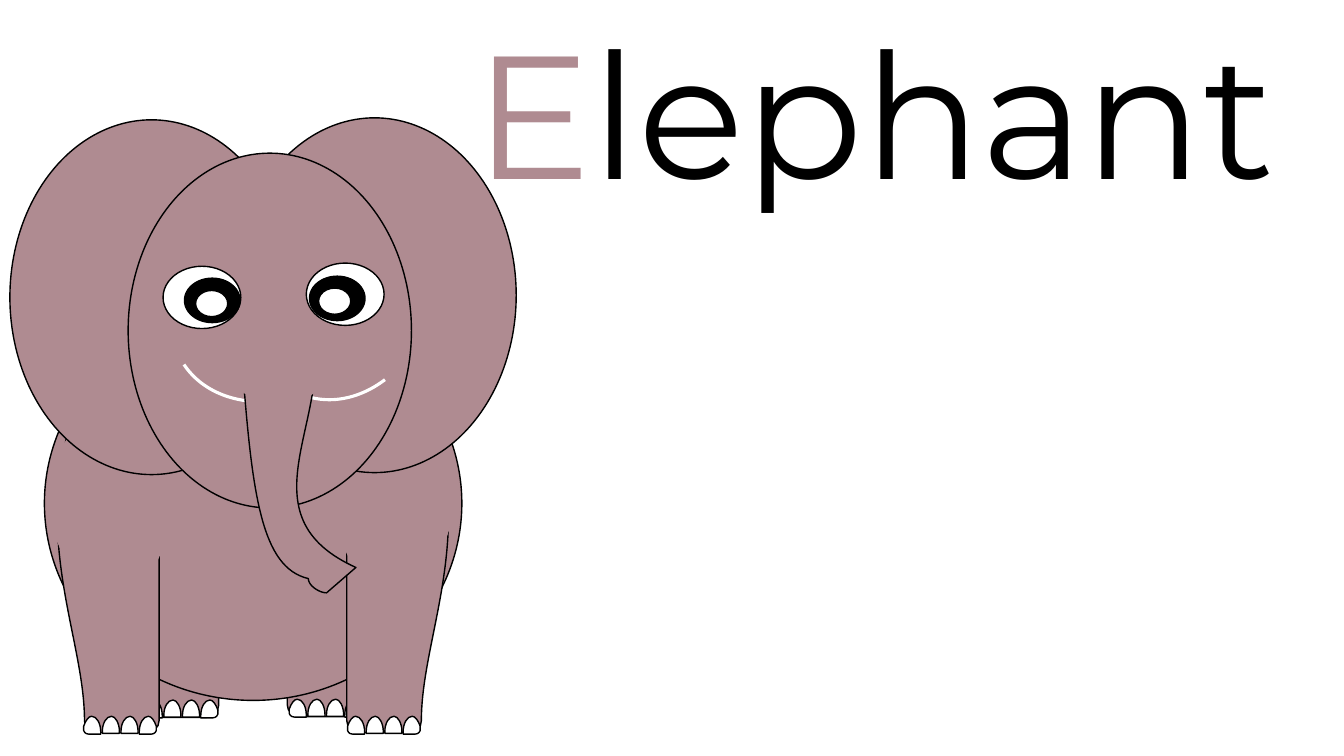
"""Draw an elephant beside its name on one slide."""
from pptx import Presentation, util as u
from pptx.dml.color import RGBColor
from pptx.enum import shapes, text
from pptx.oxml import ns

SKIN, INK, WHITE = "AF8B91", "000000", "FFFFFF"
LEG = [(0, 1.27), (0, 1.12, 0.15, 0.97, 0.33, 0.97), (1.57, 0.97),
       (1.75, 0.97, 2.31, -0.15, 2.31, 0.03), (3.07, 3, 1.88, 5.26, 1.88, 7.24),
       (1.88, 7.42, 1.75, 7.54, 1.57, 7.54), (0.33, 7.54),
       (0.15, 7.54, 0, 7.42, 0, 7.24)]
TOE = [(0.23, 0), (0.1, 0, 0, 0.18, 0, 0.38), (0, 0.43), (0.43, 0.43),
       (0.43, 0.38), (0.43, 0.18, 0.33, 0, 0.23, 0)]
END = [(0.2, 0), (0.13, 0, 0.05, 0.1, 0, 0.25), (0, 0.36), (0.03, 0.41),
       (0.05, 0.43, 0.08, 0.45, 0.13, 0.45), (0.43, 0.45), (0.43, 0.4),
       (0.43, 0.18, 0.33, 0, 0.2, 0)]
TRUNK = [(7.95, 9.09), (7.95, 8.94, 7.82, 8.79, 7.65, 8.79), (6.4, 8.79),
         (6.22, 8.79, 6.1, 8.94, 6.1, 9.09), (6.35, 12.45, 6.58, 14.3, 7.77, 14.58),
         (7.77, 14.76, 8.05, 14.94, 8.23, 14.94), (8.97, 14.3),
         (6.38, 13.13, 7.95, 11.07, 7.95, 9.09)]
PITCH, FOOT = 0.47, 1.83


def rgb(code):
    return RGBColor.from_string(code)


class Artist:
    def __init__(self, slide):
        self.slide = slide
        self.font = {"name": "Montserrat", "size": u.Pt(125)}

    def style(self, shape, fill, line, width=1):
        shape.shadow.inherit = False
        if fill:
            shape.fill.solid()
            shape.fill.fore_color.rgb = rgb(fill)
        else:
            shape.fill.background()
        if line:
            shape.line.color.rgb = rgb(line)
            shape.line.width = u.Pt(width)
        else:
            shape.line.fill.background()

    def oval(self, box, fill=SKIN, line=INK, turn=0):
        shape = self.slide.shapes.add_shape(shapes.MSO_SHAPE.OVAL, *map(u.Cm, box))
        shape.rotation = turn
        self.style(shape, fill, line)

    def arc(self, box, turn):
        shape = self.slide.shapes.add_shape(shapes.MSO_SHAPE.ARC, *map(u.Cm, box))
        shape.adjustments[0], shape.adjustments[1] = 140.28, 162
        shape.rotation = turn
        self.style(shape, None, WHITE, 2.25)

    def curve(self, parts, fill=SKIN, left=0, top=0, side=1):
        dots = [(u.Cm(left + side * part[n]), u.Cm(top + part[n + 1]))
                for part in parts for n in range(0, len(part), 2)]
        pen = self.slide.shapes.build_freeform(*dots[0], scale=1.0)
        pen.add_line_segments(dots[1:], close=False)
        pen.add_line_segments([], close=True)
        shape = pen.convert_to_shape()
        lines = iter(list(shape._element.iter(ns.qn("a:lnTo"))))
        for part in parts[1:]:
            step = next(lines)
            if len(part) == 6:
                step.tag = ns.qn("a:cubicBezTo")
                for spare in (next(lines), next(lines)):
                    step.append(spare[0])
                    spare.getparent().remove(spare)
        self.style(shape, fill, INK)

    def foot(self, left, top):
        self.curve(END, WHITE, left, top)
        self.curve(END, WHITE, left + FOOT, top, -1)
        for n in (2, 1):
            self.curve(TOE, WHITE, left + n * PITCH, top)

    def title(self, box, parts):
        frame = self.slide.shapes.add_textbox(*map(u.Cm, box)).text_frame
        frame.word_wrap = True
        frame.auto_size = text.MSO_AUTO_SIZE.SHAPE_TO_FIT_TEXT
        for word, color in parts:
            run = frame.paragraphs[0].add_run()
            run.text = word
            for key, value in self.font.items():
                setattr(run.font, key, value)
            run.font.color.rgb = rgb(color)


def main():
    deck = Presentation()
    deck.slide_width, deck.slide_height = u.Cm(33.87), u.Cm(19.05)
    art = Artist(deck.slides.add_slide(deck.slide_layouts[6]))
    art.title((11.71, 0, 22.15, 5.59), [("E", SKIN), ("lephant", INK)])

    for inner, top, side, foot, sole in [(5.51, 10.54, -1, 3.66, 17.64),
                                         (7.24, 10.52, 1, 7.29, 17.62)]:
        art.curve(LEG, SKIN, inner, top, side)
        art.foot(foot, sole)
    art.oval((1.12, 7.72, 10.52, 9.93))
    for inner, side, left, top, turn in [(4.01, -1, 1.24, 10.62, 351.3),
                                         (8.74, 1, 8.46, 10.49, 3.6)]:
        art.curve(LEG, SKIN, inner, 10.92, side)
        art.oval((left, top, 2.97, 4.27), line=None, turn=turn)
    for left in (8.76, 2.11):
        art.foot(left, 18.05)

    for left, top in [(5.87, 2.97), (0.25, 3.02), (3.23, 3.86)]:
        art.oval((left, top, 7.14, 8.94))
    rings = [(1.96, 1.57, WHITE), (1.4, 1.12, INK), (0.81, 0.66, WHITE)]
    for eye in ([(4.11, 6.71), (4.65, 7.01), (4.93, 7.32)],
                [(7.72, 6.63), (7.8, 6.96), (8.03, 7.26)]):
        for spot, (wide, high, fill) in zip(eye, rings):
            art.oval((*spot, wide, high), fill)
    for left, top, turn in [(4.85, 4.19, 236.4), (6.15, 3.68, 194.1)]:
        art.arc((left, top, 4.93, 6.43), turn)
    art.curve(TRUNK)
    art.oval((5.74, 8.33, 2.59, 1.8), line=SKIN)
    deck.save("out.pptx")


if __name__ == "__main__":
    main()
